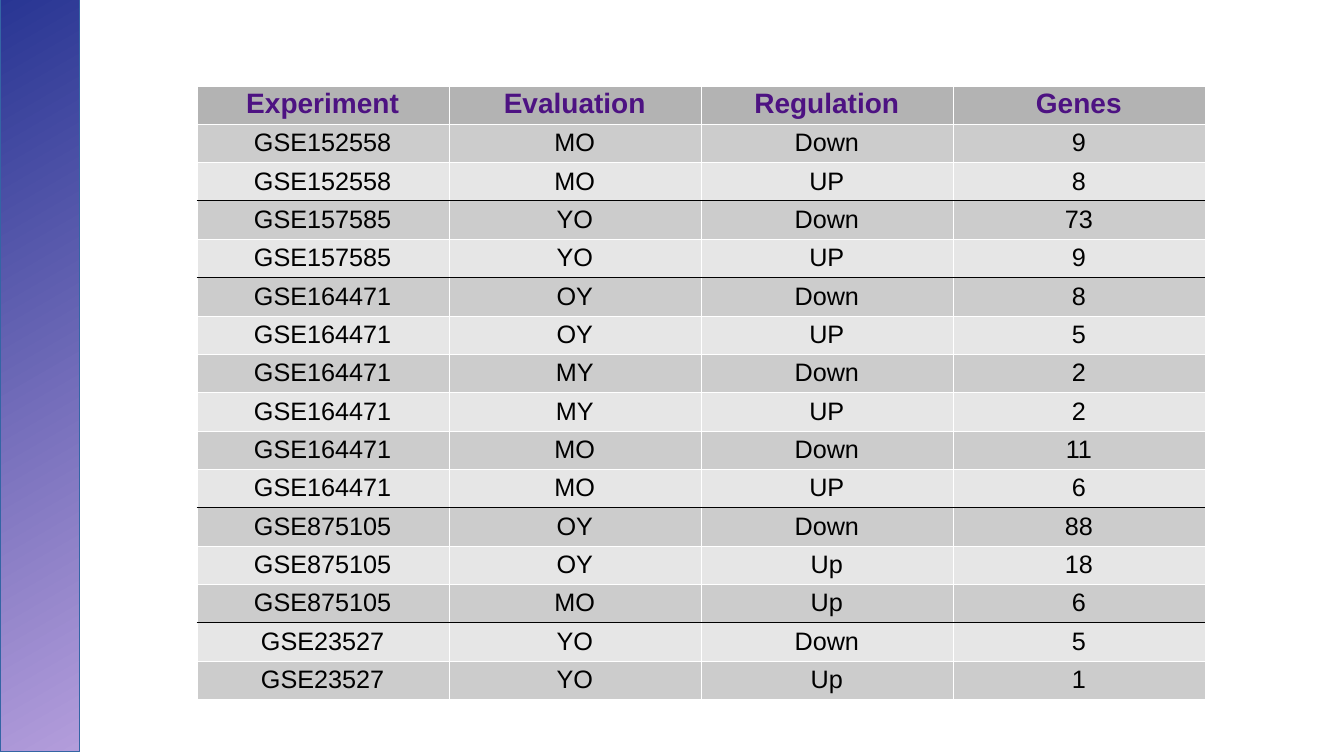
from typing import NamedTuple

from lxml import etree
from pptx import Presentation
from pptx.dml.color import RGBColor
from pptx.enum.shapes import MSO_SHAPE
from pptx.enum.text import PP_ALIGN
from pptx.oxml.ns import qn
from pptx.util import Pt

PX = 9144  # 100 px to the inch
RECT = MSO_SHAPE.RECTANGLE
CENTER = PP_ALIGN.CENTER
FONT = "Arial"
COLORS = {
    "head": "B3B3B3", "odd": "CCCCCC", "even": "E6E6E6",
    "title": "4D1282", "text": "000000",
    "grid": "FFFFFF", "rule": "000000",
    "top": "283593", "foot": "B39DDB", "edge": "3465A4",
}


class Box(NamedTuple):
    left: int
    top: int
    width: int
    height: int


class Row(NamedTuple):
    study: str
    pair: str
    trend: str
    genes: str


class Style(NamedTuple):
    fill: str
    color: str
    size: int
    bold: bool


GRID = Box(195, 85, 1000, 608)
BAND = Box(0, -4, 79, 750)
ROWS = [
    Row("Experiment", "Evaluation", "Regulation", "Genes"),
    Row("GSE152558", "MO", "Down", "9"),
    Row("GSE152558", "MO", "UP", "8"),
    Row("GSE157585", "YO", "Down", "73"),
    Row("GSE157585", "YO", "UP", "9"),
    Row("GSE164471", "OY", "Down", "8"),
    Row("GSE164471", "OY", "UP", "5"),
    Row("GSE164471", "MY", "Down", "2"),
    Row("GSE164471", "MY", "UP", "2"),
    Row("GSE164471", "MO", "Down", "11"),
    Row("GSE164471", "MO", "UP", "6"),
    Row("GSE875105", "OY", "Down", "88"),
    Row("GSE875105", "OY", "Up", "18"),
    Row("GSE875105", "MO", "Up", "6"),
    Row("GSE23527", "YO", "Down", "5"),
    Row("GSE23527", "YO", "Up", "1"),
]
HEAD = Style("head", "title", 20, True)
BODY = [Style("even", "text", 18, False), Style("odd", "text", 18, False)]


def rgb(name: str) -> RGBColor:
    return RGBColor.from_string(COLORS[name])


def emu(box: Box) -> list[int]:
    return [side * PX for side in box]


def splits(index: int) -> bool:
    """Tell whether a new experiment starts below this row."""
    return 0 < index < len(ROWS) - 1 and ROWS[index].study != ROWS[index + 1].study


def add_borders(cell, above: bool, below: bool) -> None:
    props = cell._tc.get_or_add_tcPr()
    sides = [("lnL", False), ("lnR", False), ("lnT", above), ("lnB", below)]
    for place, (tag, dark) in enumerate(sides):
        line = etree.Element(qn(f"a:{tag}"), w=str(Pt(0.85 if dark else 0.06)))
        fill = etree.SubElement(line, qn("a:solidFill"))
        etree.SubElement(fill, qn("a:srgbClr"), val=COLORS["rule" if dark else "grid"])
        props.insert(place, line)


def fill_cell(cell, text: str, style: Style) -> None:
    cell.fill.solid()
    cell.fill.fore_color.rgb = rgb(style.fill)
    cell.text = text
    para = cell.text_frame.paragraphs[0]
    para.alignment = CENTER
    if style is HEAD:
        para.line_spacing = 0.9
        para.space_after = Pt(14.2)
    font = para.font
    font.name = FONT
    font.size = Pt(style.size)
    font.bold = style.bold
    font.color.rgb = rgb(style.color)


def add_grid(slide) -> None:
    count = len(Row._fields)
    table = slide.shapes.add_table(len(ROWS), count, *emu(GRID)).table
    for i, row in enumerate(ROWS):
        style = BODY[i % 2] if i else HEAD
        for j, text in enumerate(row):
            cell = table.cell(i, j)
            fill_cell(cell, text, style)
            add_borders(cell, splits(i - 1), splits(i))


def add_band(slide) -> None:
    band = slide.shapes.add_shape(RECT, *emu(BAND))
    band.shadow.inherit = False
    band.fill.gradient()
    band.fill.gradient_angle = 300
    for stop, name in zip(band.fill.gradient_stops, ("top", "foot")):
        stop.color.rgb = rgb(name)
    band.line.color.rgb = rgb("edge")
    band.line.width = 0


def main() -> None:
    deck = Presentation()
    deck.slide_width, deck.slide_height = 1333 * PX, 750 * PX
    slide = deck.slides.add_slide(deck.slide_layouts[6])
    # Gene counts
    add_grid(slide)
    # Side band
    add_band(slide)
    deck.save("out.pptx")


if __name__ == "__main__":
    main()
